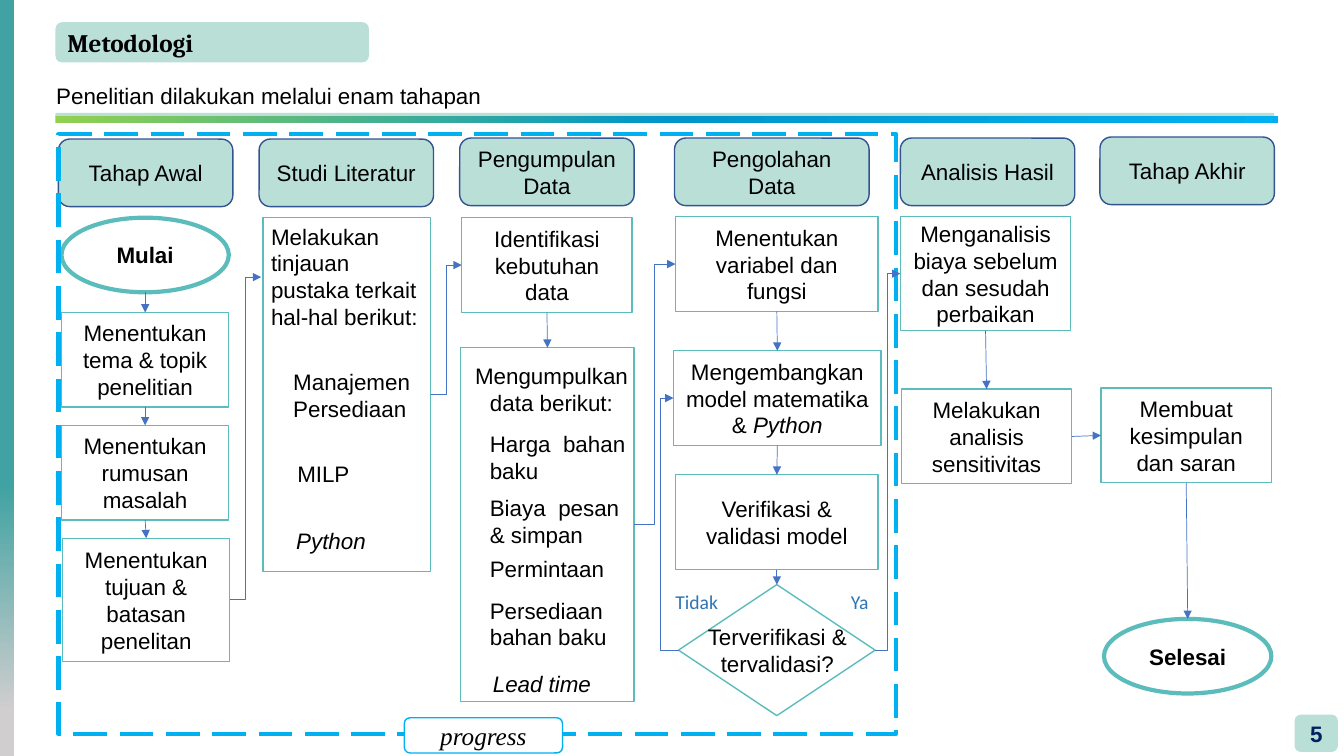
from dataclasses import dataclass

from lxml import etree
from pptx import Presentation
from pptx.dml.color import RGBColor
from pptx.enum.dml import MSO_LINE
from pptx.enum.shapes import MSO_CONNECTOR, MSO_SHAPE
from pptx.enum.text import MSO_ANCHOR, PP_ALIGN
from pptx.oxml.ns import qn
from pptx.util import Pt

PX = 9144  # 100 px to the inch
RECT, ROUND = MSO_SHAPE.RECTANGLE, MSO_SHAPE.ROUNDED_RECTANGLE
OVAL, DIAMOND = MSO_SHAPE.OVAL, MSO_SHAPE.DIAMOND
STRAIGHT, ELBOW = MSO_CONNECTOR.STRAIGHT, MSO_CONNECTOR.ELBOW
LEFT, CENTER, JUSTIFY = PP_ALIGN.LEFT, PP_ALIGN.CENTER, PP_ALIGN.JUSTIFY
TOP, MIDDLE = MSO_ANCHOR.TOP, MSO_ANCHOR.MIDDLE
LONG_DASH = MSO_LINE.LONG_DASH
AT_TOP, AT_LEFT, AT_BOTTOM, AT_RIGHT = range(4)


@dataclass(frozen=True)
class Theme:
    mint: str = "BADFD7"
    white: str = "FFFFFF"
    ink: str = "000000"
    card_line: str = "5CBCBC"
    stage_line: str = "325491"
    arrow: str = "4472C4"
    frame: str = "00B0F0"
    answer: str = "2E75B6"
    number: str = "002060"
    rule_stops: tuple = ((0, "92D050"), (50, "0094CA"), (100, "00B0F0"))
    strip_stops: tuple = ((64, "40A2A2"), (94, "D0CECE"))
    body_font: str = "Arial"
    title_font: str = "Cambria"
    answer_font: str = "Calibri"
    progress_font: str = "Times New Roman"
    title_size: int = 18
    body_size: int = 16
    answer_size: int = 14
    thin: float = 0.5
    normal: float = 1
    thick: float = 3


THEME = Theme()

# Stage: box, title, steps (key, shape, dx, dy, w, h, spans),
# notes (key, dx, dy, w, h, alignment, spans). A span is (text, style).
STAGES = [
    ((58, 138, 173, 67), "Tahap Awal", [
        ("mulai", OVAL, 3, 78, 166, 74, [("Mulai", "b")]),
        ("tema", RECT, 3, 172, 166, 94, [("Menentukan tema & topik penelitian", "")]),
        ("rumusan", RECT, 3, 284, 166, 94, [("Menentukan rumusan masalah", "")]),
        ("tujuan", RECT, 4, 396, 166, 122, [("Menentukan tujuan & batasan penelitan", "")]),
    ], []),
    ((257, 138, 173, 67), "Studi Literatur", [
        ("literatur", RECT, 4, 78, 166, 351, []),
    ], [
        ("tinjauan", 2, 78, 176, 118, LEFT,
         [("Melakukan tinjauan pustaka terkait hal-hal berikut:", "")]),
        ("manajemen", 24, 222, 141, 64, LEFT, [("Manajemen Persediaan", "")]),
        ("milp", 28, 314, 101, 37, LEFT, [("MILP", "")]),
        ("python", 27, 380, 96, 37, LEFT, [("Python", "i")]),
    ]),
    ((456, 137, 173, 67), "Pengumpulan Data", [
        ("identifikasi", RECT, 2, 79, 169, 94, [("Identifikasi kebutuhan data", "")]),
        ("data", RECT, 1, 208, 172, 351, []),
    ], [
        ("mengumpulkan", 0, 217, 182, 64, CENTER, [("Mengumpulkan data berikut:", "")]),
        ("harga", 20, 285, 154, 64, JUSTIFY, [("Harga bahan baku", "")]),
        ("biaya", 20, 348, 148, 64, JUSTIFY, [("Biaya pesan & simpan", "")]),
        ("permintaan", 20, 409, 139, 37, JUSTIFY, [("Permintaan", "")]),
        ("persediaan", 20, 450, 139, 64, JUSTIFY, [("Persediaan bahan baku", "")]),
        ("lead_time", 23, 523, 136, 37, JUSTIFY, [("Lead time", "i")]),
    ]),
    ((669, 137, 193, 67), "Pengolahan Data", [
        ("variabel", RECT, 1, 78, 201, 94, [("Menentukan variabel dan fungsi", "")]),
        ("model", RECT, -1, 211, 206, 94,
         [("Mengembangkan model matematika & ", ""), ("Python", "i")]),
        ("verifikasi", RECT, 1, 334, 201, 94, [("Verifikasi & validasi model", "")]),
        ("keputusan", DIAMOND, 4, 443, 195, 130, []),
    ], [
        ("pertanyaan", 17, 476, 170, 64, CENTER, [("Terverifikasi & tervalidasi?", "")]),
    ]),
    ((893, 137, 173, 67), "Analisis Hasil", [
        ("biaya_analisis", RECT, 0, 78, 169, 113,
         [("Menganalisis biaya sebelum dan sesudah perbaikan", "")]),
        ("sensitivitas", RECT, 1, 249, 169, 94, [("Melakukan analisis sensitivitas", "")]),
    ], []),
    ((1091, 136, 173, 67), "Tahap Akhir", [
        ("kesimpulan", RECT, 1, 249, 169, 94, [("Membuat kesimpulan dan saran", "")]),
        ("selesai", OVAL, 4, 478, 166, 74, [("Selesai", "b")]),
    ], []),
]

DOWNWARD = [("tema", "rumusan"), ("rumusan", "tujuan"), ("identifikasi", "data"),
            ("variabel", "model"), ("model", "verifikasi"), ("verifikasi", "keputusan"),
            ("biaya_analisis", "sensitivitas"), ("kesimpulan", "selesai")]
ONWARD = [("tujuan", "tinjauan"), ("literatur", "identifikasi"), ("data", "variabel"),
          ("keputusan", "biaya_analisis")]


def emu(*lengths):
    return [length * PX for length in lengths]


def write(shape, spans, align=CENTER, anchor=MIDDLE, font=THEME.body_font,
          size=THEME.body_size, color=THEME.ink):
    frame = shape.text_frame
    frame.word_wrap = True
    frame.vertical_anchor = anchor
    para = frame.paragraphs[0]
    para.alignment = align
    for text, style in spans:
        span = para.add_run()
        span.text = text
        span.font.name, span.font.size = font, Pt(size)
        span.font.bold, span.font.italic = "b" in style, "i" in style
        span.font.color.rgb = RGBColor.from_string(color)
    return para


def add_block(page, kind, box, fill=None, line=None, width=THEME.normal):
    shape = page.shapes.add_shape(kind, *emu(*box))
    shape.shadow.inherit = False
    if fill:
        shape.fill.solid()
        shape.fill.fore_color.rgb = RGBColor.from_string(fill)
    else:
        shape.fill.background()
    if line:
        shape.line.color.rgb = RGBColor.from_string(line)
        shape.line.width = Pt(width)
    else:
        shape.line.fill.background()
    return shape


def add_note(page, box, spans, align=LEFT, **style):
    note = page.shapes.add_textbox(*emu(*box))
    write(note, spans, align, TOP, **style)
    return note


def add_gradient(page, box, stops, angle):
    bar = add_block(page, RECT, box)
    bar.fill.gradient()
    bar.fill.gradient_angle = angle
    stop_list = next(bar.element.iter(qn("a:gsLst")))
    for old_stop in list(stop_list):
        stop_list.remove(old_stop)
    for percent, color in stops:
        stop = etree.SubElement(stop_list, qn("a:gs"), pos=str(percent * 1000))
        etree.SubElement(stop, qn("a:srgbClr"), val=color)


def add_arrow(page, kind, start, start_side, end, end_side):
    arrow = page.shapes.add_connector(kind, 0, 0, 0, 0)
    if start:
        arrow.begin_connect(start, start_side)
    arrow.end_connect(end, end_side)
    arrow.line.color.rgb = RGBColor.from_string(THEME.arrow)
    arrow.line.width = Pt(THEME.thin)
    etree.SubElement(arrow.line._get_or_add_ln(), qn("a:tailEnd"), type="triangle")
    etree.SubElement(arrow.element.spPr, qn("a:effectLst"))
    return arrow


def draw_header(page, box):
    x, y, w, _ = box
    title = add_block(page, ROUND, (x, y, 311, 40), THEME.mint)
    write(title, [("Metodologi", "b")], LEFT, font=THEME.title_font, size=THEME.title_size)
    intro = add_note(page, (x - 9, y + 58, w, 40),
                     [("Penelitian dilakukan melalui enam tahapan", "")])
    intro.text_frame.paragraphs[0].line_spacing = 0.9
    add_block(page, ROUND, (x, y + 90, w - 4, 5), THEME.mint)
    add_gradient(page, (x, y + 93, w, 7), THEME.rule_stops, 0)


def draw_stage(page, box, title, steps, notes):
    """Draw one column and return its parts by key."""
    x, y, _, _ = box
    write(add_block(page, ROUND, box, THEME.mint, THEME.stage_line), [(title, "")])
    parts = {}
    for key, kind, dx, dy, w, h, spans in steps:
        width = THEME.thick if kind == OVAL else THEME.normal
        parts[key] = add_block(page, kind, (x + dx, y + dy, w, h),
                               THEME.white, THEME.card_line, width)
        if spans:
            write(parts[key], spans)
    for key, dx, dy, w, h, align, spans in notes:
        parts[key] = add_note(page, (x + dx, y + dy, w, h), spans, align)
    return parts


def draw_arrows(page, parts):
    for start, end in DOWNWARD:
        add_arrow(page, STRAIGHT, parts[start], AT_BOTTOM, parts[end], AT_TOP)
    for start, end in ONWARD:
        add_arrow(page, ELBOW, parts[start], AT_RIGHT, parts[end], AT_LEFT)
    add_arrow(page, STRAIGHT, parts["sensitivitas"], AT_RIGHT, parts["kesimpulan"], AT_LEFT)
    oval = parts["mulai"]
    first = add_arrow(page, STRAIGHT, None, None, parts["tema"], AT_TOP)
    first.begin_x, first.begin_y = oval.left + oval.width // 2, oval.top + oval.height
    back = add_arrow(page, ELBOW, parts["keputusan"], AT_LEFT, parts["model"], AT_LEFT)
    guides = back.element.spPr.find(qn("a:prstGeom")).find(qn("a:avLst"))
    etree.SubElement(guides, qn("a:gd"), name="adj1", fmla="val 360000")


def draw_progress(page, box):
    x, y, _, h = box
    frame = add_block(page, RECT, box, None, THEME.frame, THEME.thick)
    frame.line.dash_style = LONG_DASH
    label = add_block(page, ROUND, (x + 343, y + h - 16, 157, 35), THEME.white, THEME.frame)
    write(label, [("progress", "i")], font=THEME.progress_font, size=THEME.title_size)


def draw_answers(page, box):
    x, y, w, h = box
    for text, left in (("Tidak", x), ("Ya", x + w - 63)):
        add_note(page, (left, y, 63, h), [(text, "")], font=THEME.answer_font,
                 size=THEME.answer_size, color=THEME.answer)


def draw_number(page, box):
    badge = add_block(page, ROUND, box, THEME.mint)
    badge.text_frame.margin_left = badge.text_frame.margin_right = 0
    write(badge, [("5", "b")], color=THEME.number)


def main():
    deck = Presentation()
    deck.slide_width, deck.slide_height = emu(1333, 750)
    page = deck.slides.add_slide(deck.slide_layouts[6])
    add_gradient(page, (0, 0, 14, 750), THEME.strip_stops, 270)
    draw_header(page, (55, 22, 1213, 100))
    parts = {}
    for stage in STAGES:
        parts.update(draw_stage(page, *stage))
    draw_progress(page, (58, 133, 831, 595))
    draw_arrows(page, parts)
    draw_answers(page, (660, 580, 237, 34))
    draw_number(page, (1284, 709, 43, 37))
    deck.save("out.pptx")


if __name__ == "__main__":
    main()
